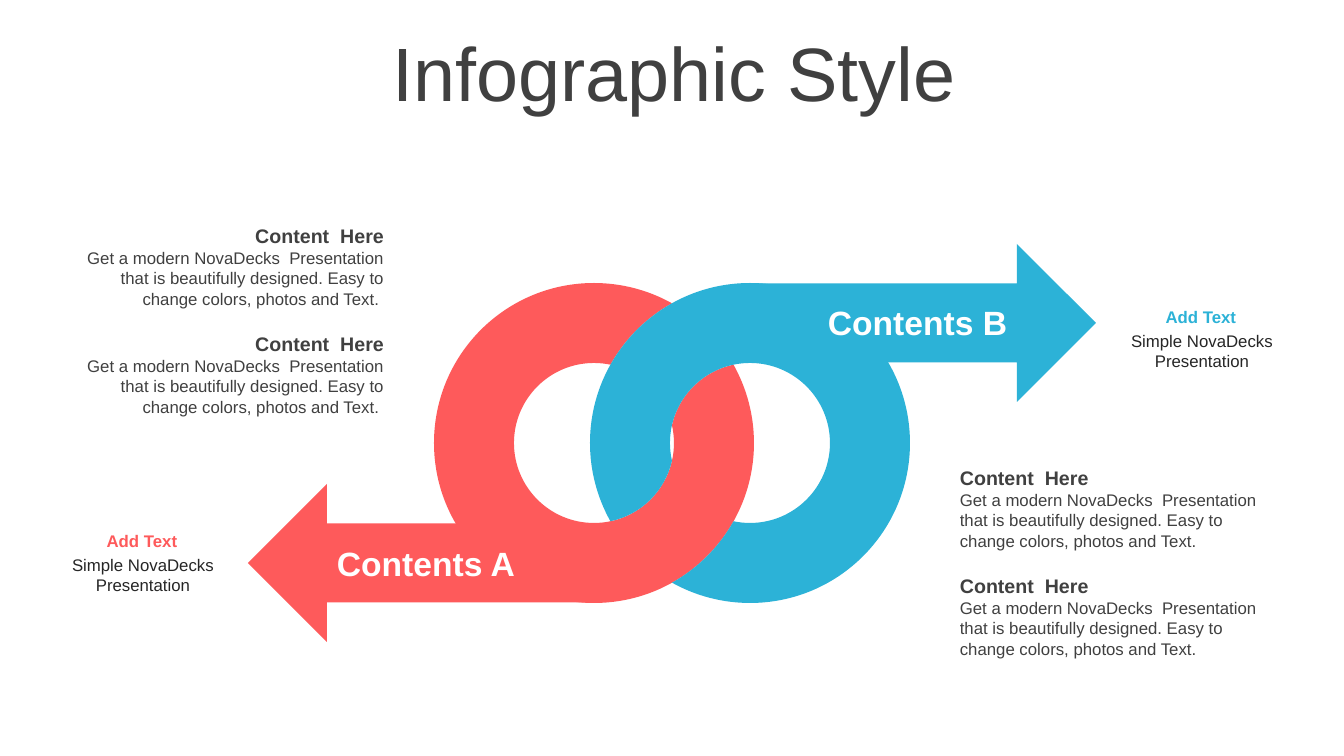
from dataclasses import dataclass
from math import acos, ceil, cos, degrees, floor, radians, sin, tan

from lxml.etree import SubElement
from pptx import Presentation
from pptx.dml.color import RGBColor
from pptx.enum.shapes import MSO_SHAPE
from pptx.enum.text import MSO_ANCHOR, MSO_AUTO_SIZE, PP_ALIGN
from pptx.oxml.ns import qn
from pptx.util import Emu, Pt

EMU_PER_PX = 914400 / 100.8


@dataclass(frozen=True)
class Theme:
    font: str = "Arial"
    red: str = "FE5A5B"
    blue: str = "2CB2D7"
    dark: str = "404040"
    ink: str = "262626"
    white: str = "FFFFFF"
    title: int = 54
    label: int = 24
    heading: int = 14
    body: int = 12


THEME = Theme()

OUTER, INNER = 160, 80
RING_GAP = 156
RING_Y = 443
RED_X, BLUE_X = 594, 750

CONTENT_PITCH = 108
PITCH_TEXT = (
    "Get a modern NovaDecks  Presentation that is beautifully designed. "
    "Easy to change colors, photos and Text."
)


def px(length):
    return Emu(round(length * EMU_PER_PX))


def apply(target, values):
    for name, value in values.items():
        setattr(target, name, value)


def add_text(shapes, box, wording, size, color, bold=False,
             align=PP_ALIGN.LEFT, anchor=MSO_ANCHOR.TOP,
             fit=MSO_AUTO_SIZE.SHAPE_TO_FIT_TEXT, spacing=1.0):
    frame = shapes.add_textbox(*map(px, box)).text_frame
    apply(frame, {"word_wrap": True, "auto_size": fit, "vertical_anchor": anchor})
    paragraph = frame.paragraphs[0]
    apply(paragraph, {"alignment": align, "line_spacing": spacing})
    run = paragraph.add_run()
    run.text = wording
    apply(run.font, {"name": THEME.font, "size": Pt(size), "bold": bold})
    run.font.color.rgb = RGBColor.from_string(color)


def paint(shape, color):
    shape.shadow.inherit = False
    shape.fill.solid()
    shape.fill.fore_color.rgb = RGBColor.from_string(color)
    shape.line.fill.background()


def add_arrow(slide, preset, box, color):
    paint(slide.shapes.add_shape(preset, *map(px, box)), color)


def on_ring(center_x, radius, angle, along=0.0):
    a = radians(angle)
    return (px(center_x + radius * (cos(a) - along * sin(a))),
            px(RING_Y + radius * (sin(a) + along * cos(a))))


def arc(center_x, radius, start, end):
    low, high = sorted((start, end))
    quarters = range(90 * (floor(low / 90) + 1), 90 * ceil(high / 90), 90)
    stops = sorted([start, *quarters, end], reverse=start > end)
    curves = []
    for first, last in zip(stops, stops[1:]):
        handle = 4 / 3 * tan(radians(last - first) / 4)
        curves.append((on_ring(center_x, radius, first, handle),
                       on_ring(center_x, radius, last, -handle),
                       on_ring(center_x, radius, last)))
    return curves


def add_curved_outline(slide, curves, color):
    ends = [curve[-1] for curve in curves]
    builder = slide.shapes.build_freeform(*ends[-1], scale=1.0)
    builder.add_line_segments(ends, close=True)
    outline = builder.convert_to_shape()
    segments = list(outline._element.iter(qn("a:lnTo")))
    for segment, curve in zip(segments, curves):
        bezier = SubElement(segment.getparent(), qn("a:cubicBezTo"))
        for x, y in curve:
            SubElement(bezier, qn("a:pt"), x=str(x - outline.left), y=str(y - outline.top))
        segment.getparent().replace(segment, bezier)
    paint(outline, color)


def crossing(own, other):
    reach = (RING_GAP ** 2 + own ** 2 - other ** 2) / (2 * RING_GAP)
    return degrees(acos(reach / own))


def add_link(slide, own_x, other_x, turn, color):
    outer_outer = crossing(OUTER, OUTER)
    inner_inner = crossing(INNER, INNER)
    outer_inner = crossing(OUTER, INNER)
    inner_outer = crossing(INNER, OUTER)
    facing = turn + 180
    add_curved_outline(
        slide,
        arc(own_x, OUTER, turn - outer_inner, turn + 360 - outer_outer)
        + arc(other_x, OUTER, facing + outer_outer, facing + outer_inner)
        + arc(own_x, INNER, turn + 360 - inner_outer, turn - inner_inner)
        + arc(other_x, INNER, facing + inner_inner, facing + inner_outer),
        color,
    )


def add_caption(slide, left, top, color):
    shapes = slide.shapes.add_group_shape().shapes
    add_text(shapes, (left, top, 190, 30), "Add Text", THEME.body, color,
             bold=True, align=PP_ALIGN.CENTER)
    add_text(shapes, (left + 1, top + 24, 190, 50), "Simple NovaDecks Presentation",
             THEME.body, THEME.ink, align=PP_ALIGN.CENTER)


def add_content(slide, left, top, align, wording):
    shapes = slide.shapes.add_group_shape().shapes
    add_text(shapes, (left, top, 342, 34), "Content  Here", THEME.heading, THEME.dark,
             bold=True, align=align, anchor=MSO_ANCHOR.MIDDLE)
    add_text(shapes, (left, top + 24, 342, 72), wording, THEME.body, THEME.dark, align=align)


def main():
    deck = Presentation()
    apply(deck, {"slide_width": px(1344), "slide_height": px(756)})
    slide = deck.slides.add_slide(deck.slide_layouts[6])

    add_text(slide.shapes, (36, 37, 1276, 80), "Infographic Style", THEME.title, THEME.dark,
             align=PP_ALIGN.CENTER, anchor=MSO_ANCHOR.MIDDLE,
             fit=MSO_AUTO_SIZE.NONE, spacing=0.9)

    add_link(slide, RED_X, BLUE_X, 0, THEME.red)
    add_link(slide, BLUE_X, RED_X, 180, THEME.blue)
    add_arrow(slide, MSO_SHAPE.RIGHT_ARROW, (754, 244, 342, 158), THEME.blue)
    add_arrow(slide, MSO_SHAPE.LEFT_ARROW, (248, 484, 342, 158), THEME.red)

    for wording, left, top, align in (
        ("Contents B", 801, 297, PP_ALIGN.RIGHT),
        ("Contents A", 327, 538, PP_ALIGN.LEFT),
    ):
        add_text(slide.shapes, (left, top, 216, 50), wording, THEME.label, THEME.white,
                 bold=True, align=align, anchor=MSO_ANCHOR.MIDDLE)

    add_caption(slide, 47, 526, THEME.red)
    add_caption(slide, 1106, 302, THEME.blue)

    for left, top, align, wording in (
        (950, 461, PP_ALIGN.LEFT, PITCH_TEXT),
        (52, 219, PP_ALIGN.RIGHT, PITCH_TEXT + " "),
    ):
        for row in range(2):
            add_content(slide, left, top + row * CONTENT_PITCH, align, wording)

    deck.save("out.pptx")


if __name__ == "__main__":
    main()
